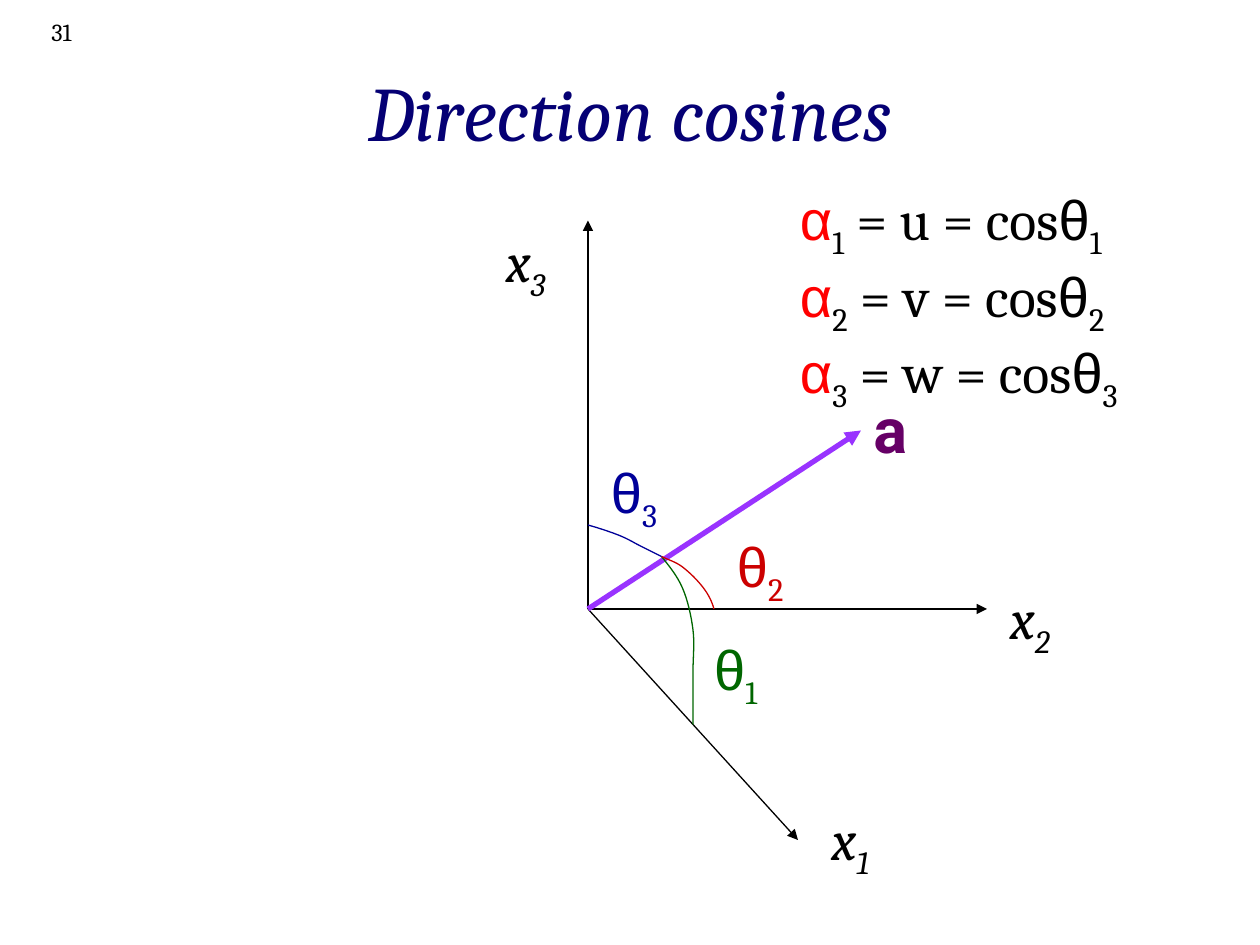
from dataclasses import dataclass

from lxml import etree
from pptx import Presentation
from pptx.dml.color import RGBColor
from pptx.enum import shapes, text
from pptx.oxml import ns
from pptx.util import Pt

BLACK = RGBColor(0, 0, 0)
NAVY = RGBColor(0x05, 0x00, 0x74)
VIOLET = RGBColor(0x99, 0x33, 0xFF)
PLUM = RGBColor(0x66, 0x00, 0x66)
GREEN = RGBColor(0x00, 0x66, 0x00)
CRIMSON = RGBColor(0xCC, 0x00, 0x00)
BLUE = RGBColor(0x00, 0x00, 0x99)
RED = RGBColor(0xFF, 0x00, 0x00)
SERIF, SANS, BOLD = "Cambria", "Arial", "Roboto"
ORIGIN = (336, 348)
CROSS = (378, 318)
STEPS = 8


@dataclass
class Arrow:
    tip: tuple
    color: RGBColor = BLACK
    width: float = 0.75


@dataclass
class Arc:
    color: RGBColor
    points: list


@dataclass
class Label:
    box: tuple
    sign: str
    index: str
    font: str = SERIF
    color: RGBColor = BLACK
    italic: bool = False


ARROWS = [
    Arrow((336, 126)),
    Arrow((564, 348)),
    Arrow((456, 480)),
    Arrow((492, 246), VIOLET, 3),
]
ARCS = [
    Arc(GREEN, [(382, 323), (387, 329), (390, 336), (393, 343), (395, 352), (396, 360),
                (397, 368), (396, 375), (396, 384), (396, 393), (396, 403), (396, 414)]),
    Arc(CRIMSON, [(382, 320), (386, 321), (390, 324), (394, 327), (399, 332), (402, 336),
                  (405, 340), (407, 344), (408, 348)]),
    Arc(BLUE, [(374, 316), (370, 314), (366, 312), (362, 310), (359, 308), (354, 306),
               (349, 304), (343, 302), (336, 300)]),
]
LABELS = [
    Label((468, 456, 39.6, 45.4), "x", "1", italic=True),
    Label((570, 330, 39.6, 45.4), "x", "2", italic=True),
    Label((282, 126, 39.6, 45.4), "x", "3", italic=True),
    Label((401, 359.3, 41.8, 45.4), "θ", "1", SANS, GREEN),
    Label((414, 300, 41.8, 45.4), "θ", "2", SANS, CRIMSON),
    Label((342, 258, 41.8, 45.4), "θ", "3", SANS, BLUE),
]


def write(para, words: str, *, size: float = 32, font: str = SERIF, color: RGBColor = BLACK,
          bold: bool = False, italic: bool = False, sub: bool = False) -> None:
    run = para.add_run()
    run.text = words
    style = run.font
    style.size, style.name = Pt(size), font
    style.bold, style.italic = bold, italic
    style.color.rgb = color
    if sub:
        run._r.get_or_add_rPr().set("baseline", "-25000")


def add_box(slide, box: tuple, wrap: bool = False):
    frame = slide.shapes.add_textbox(*map(Pt, box)).text_frame
    frame.word_wrap = wrap
    if not wrap:
        frame.auto_size = text.MSO_AUTO_SIZE.SHAPE_TO_FIT_TEXT
    return frame


def draw_arrow(slide, item: Arrow) -> None:
    line = slide.shapes.add_connector(
        shapes.MSO_CONNECTOR.STRAIGHT, *map(Pt, ORIGIN + item.tip))
    line.line.color.rgb = item.color
    line.line.width = Pt(item.width)
    etree.SubElement(line.line._get_or_add_ln(), ns.qn("a:tailEnd"), type="triangle")
    etree.SubElement(line._element.spPr, ns.qn("a:effectLst"))


def blend(ends: tuple, t: float) -> int:
    a, b, c, d = ends
    s = 1 - t
    return Pt(s**3 * a + 3 * s * s * t * b + 3 * s * t * t * c + t**3 * d)


def draw_arc(slide, item: Arc) -> None:
    knots = [CROSS] + item.points
    trace = []
    for i in range(0, len(knots) - 1, 3):
        xs, ys = zip(*knots[i:i + 4])
        trace += [(blend(xs, n / STEPS), blend(ys, n / STEPS)) for n in range(1, STEPS + 1)]
    pen = slide.shapes.build_freeform(*map(Pt, CROSS))
    pen.add_line_segments(trace, close=False)
    curve = pen.convert_to_shape()
    curve.shadow.inherit = False
    curve.fill.background()
    curve.line.color.rgb = item.color
    curve.line.width = Pt(0.75)


def draw_label(slide, item: Label) -> None:
    para = add_box(slide, item.box).paragraphs[0]
    write(para, item.sign, font=item.font, color=item.color, italic=item.italic)
    write(para, item.index, color=item.color, italic=item.italic, sub=True)


def draw_sums(slide) -> None:
    frame = add_box(slide, (450, 102, 206, 122.4))
    for i, name in enumerate("uvw", 1):
        para = frame.paragraphs[0] if i == 1 else frame.add_paragraph()
        write(para, "α", font=SANS, color=RED)
        write(para, str(i), sub=True)
        write(para, f" = {name} = cos")
        write(para, "θ", font=SANS)
        write(para, str(i), sub=True)


def main() -> None:
    deck = Presentation()
    deck.slide_width, deck.slide_height = Pt(720), Pt(540)
    slide = deck.slides.add_slide(deck.slide_layouts[5])

    title = slide.shapes.title
    title.left, title.top, title.width, title.height = map(Pt, (54, 18, 612, 90))
    title.text_frame.vertical_anchor = text.MSO_ANCHOR.MIDDLE
    head = title.text_frame.paragraphs[0]
    head.alignment = text.PP_ALIGN.CENTER
    write(head, "Direction cosines", size=44, color=NAVY, italic=True)

    page = add_box(slide, (6, 6, 42, 30), wrap=True).paragraphs[0]
    page.alignment = text.PP_ALIGN.RIGHT
    write(page, "31", size=14)

    for arrow in ARROWS:
        draw_arrow(slide, arrow)
    for arc in ARCS:
        draw_arc(slide, arc)
    for label in LABELS:
        draw_label(slide, label)
    draw_sums(slide)
    vector = add_box(slide, (492, 219.6, 34.6, 50.4)).paragraphs[0]
    write(vector, "a", size=36, font=BOLD, color=PLUM, bold=True)
    deck.save("out.pptx")


if __name__ == "__main__":
    main()
